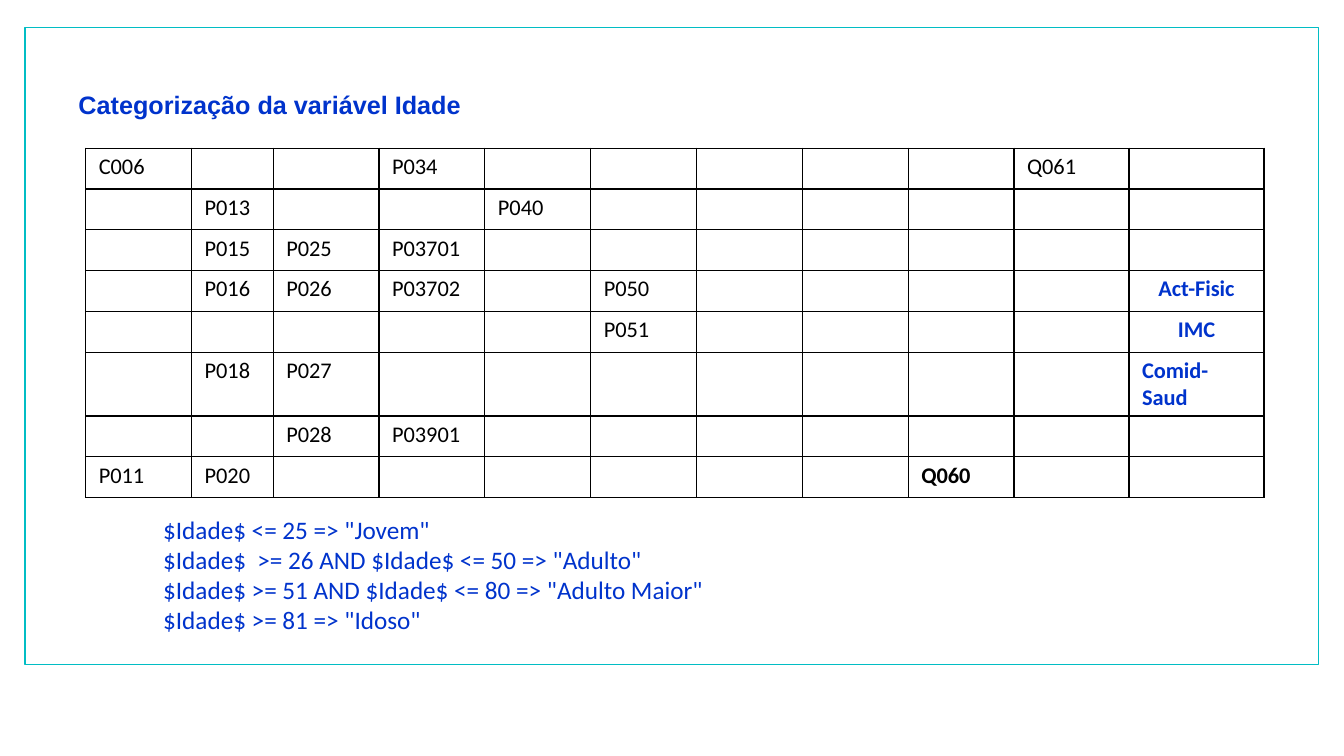
from lxml import etree
from pptx import Presentation, util as u
from pptx.dml.color import RGBColor
from pptx.enum import shapes, text
from pptx.oxml import ns

BLUE, BLACK, WHITE, TEAL = "0033CC", "000000", "FFFFFF", "01BDC4"


def rgb(code):
    return RGBColor.from_string(code)


class Deck:
    """Draws styled elements on a slide whose grid has ten columns and rows per inch."""

    def __init__(self, cols, rows):
        self.prs = Presentation()
        self.prs.slide_width, self.prs.slide_height = self.grid(cols, rows)
        self.s = self.prs.slides.add_slide(self.prs.slide_layouts[6])

    def grid(self, *cells):
        return [u.Inches(cell / 10) for cell in cells]

    def run(self, p, words, size, color, font="Calibri", bold=False):
        r = p.add_run()
        r.text = words
        r.font.name, r.font.size, r.font.bold = font, u.Pt(size), bold
        r.font.color.rgb = rgb(color)

    def frame(self, box, color):
        sp = self.s.shapes.add_shape(shapes.MSO_SHAPE.RECTANGLE, *self.grid(*box))
        sp.shadow.inherit = False
        sp.fill.background()
        sp.line.color.rgb = rgb(color)
        sp.line.width = u.Pt(1)

    def text(self, box, lines, **style):
        tf = self.s.shapes.add_textbox(*self.grid(*box)).text_frame
        tf.word_wrap = True
        tf.auto_size = text.MSO_AUTO_SIZE.SHAPE_TO_FIT_TEXT
        for i, line in enumerate(lines):
            p = tf.add_paragraph() if i else tf.paragraphs[0]
            self.run(p, line, 18, BLUE, **style)

    def borders(self, cell):
        tc_pr = cell._tc.get_or_add_tcPr()
        for side in ("lnL", "lnR", "lnT", "lnB"):
            ln = etree.SubElement(tc_pr, ns.qn(f"a:{side}"), w=str(u.Pt(1)))
            fill = etree.SubElement(ln, ns.qn("a:solidFill"))
            etree.SubElement(fill, ns.qn("a:srgbClr"), val=BLACK)

    def table(self, left, top, widths, heights, entries):
        box = self.grid(left, top, sum(widths), sum(heights))
        table = self.s.shapes.add_table(len(heights), len(widths), *box).table
        for column, width in zip(table.columns, self.grid(*widths)):
            column.width = width
        for row, height in zip(table.rows, self.grid(*heights)):
            row.height = height
        for row, line in enumerate(table.rows):
            for col, cell in enumerate(line.cells):
                self.borders(cell)
                cell.fill.solid()
                cell.fill.fore_color.rgb = rgb(WHITE)
                cell.margin_left = cell.margin_right = u.Inches(0.13)
                if (row, col) in entries:
                    words, color, bold, align = entries[row, col]
                    p = cell.text_frame.paragraphs[0]
                    p.alignment = align
                    self.run(p, words, 16, color, bold=bold)


def main():
    left, center = text.PP_ALIGN.LEFT, text.PP_ALIGN.CENTER
    codes = [
        {0: "C006", 3: "P034", 9: "Q061"},
        {1: "P013", 4: "P040"},
        {1: "P015", 2: "P025", 3: "P03701"},
        {1: "P016", 2: "P026", 3: "P03702", 5: "P050"},
        {5: "P051"},
        {1: "P018", 2: "P027"},
        {2: "P028", 3: "P03901"},
        {0: "P011", 1: "P020"},
    ]
    entries = {(row, col): (code, BLACK, False, left)
               for row, line in enumerate(codes) for col, code in line.items()}
    entries |= {
        (3, 10): ("Act-Fisic", BLUE, True, center),
        (4, 10): ("IMC", BLUE, True, center),
        (5, 10): ("Comid-Saud", BLUE, True, left),
        (7, 8): ("Q060", BLACK, True, left),
    }
    rules = [
        '$Idade$ <= 25 => "Jovem"',
        '$Idade$  >= 26 AND $Idade$ <= 50 => "Adulto"',
        '$Idade$ >= 51 AND $Idade$ <= 80 => "Adulto Maior"',
        '$Idade$ >= 81 => "Idoso"',
    ]
    deck = Deck(133.33, 75)
    deck.frame((2.5, 2.7, 128.3, 63.2), TEAL)
    deck.text((6.8, 8.4, 115.5, 4), ["Categorização da variável Idade"], font="Arial", bold=True)
    deck.table(8.5, 14.7, [10.5, 8.1] + [10.5] * 7 + [11.4, 13.4], [4.05] * 8, entries)
    deck.text((15.2, 50.5, 103.9, 13.1), rules)
    deck.prs.save("out.pptx")


if __name__ == "__main__":
    main()
